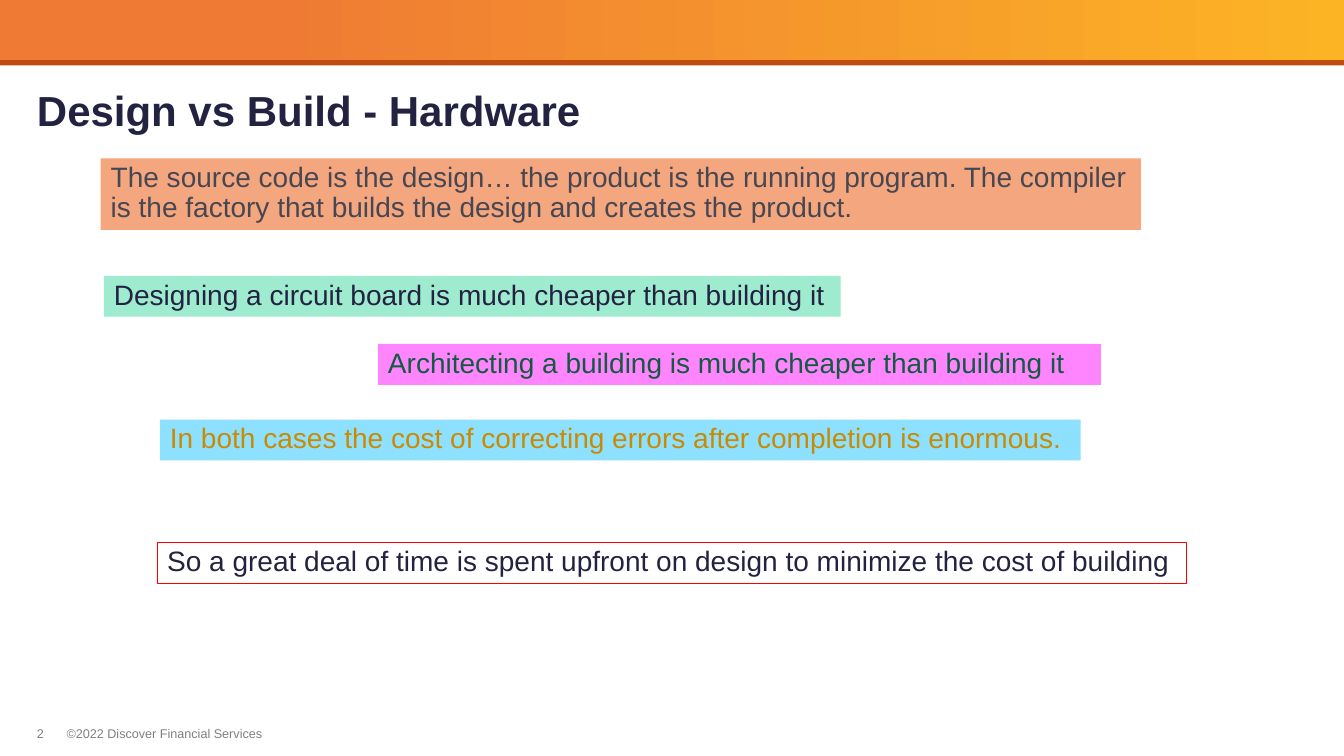
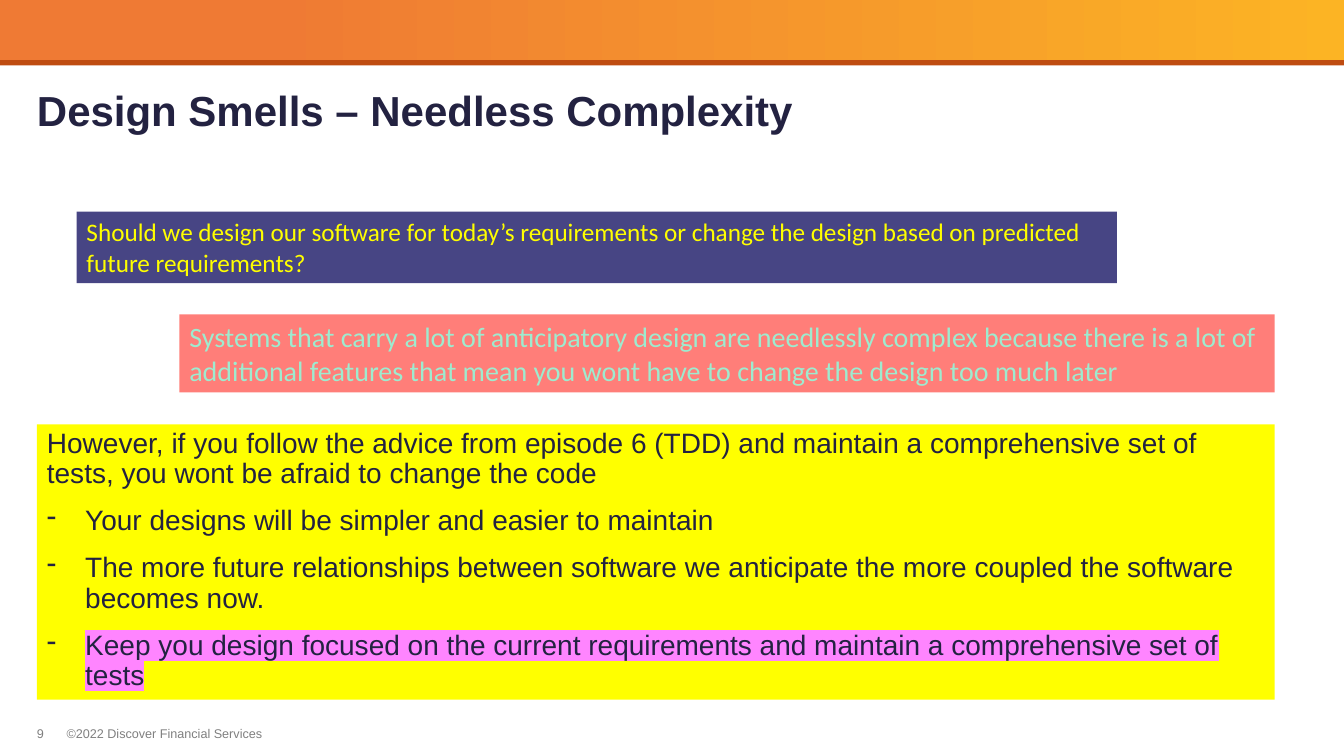
"""Build two lecture slides on software design."""
from lxml.etree import SubElement
from pptx import Presentation
from pptx.dml.color import RGBColor
from pptx.enum.shapes import MSO_SHAPE
from pptx.enum.text import MSO_ANCHOR, MSO_AUTO_SIZE, PP_ALIGN
from pptx.oxml.ns import qn
from pptx.util import Inches, Pt

WIDE, HIGH = Inches(13.33), Inches(7.5)
EDGE = 2.75
INDENT = Inches(0.38)
HUES = {
    "rust": "BF4C11", "gold": "FCB424", "orange": "EF7A34", "gray": "808080",
    "ink": "232241", "peach": "F4A67F", "slate": "474752", "mint": "9EEBCF",
    "pink": "FF85FF", "green": "135B40", "sky": "8DE1FF", "amber": "CB8A03",
    "red": "FF0000", "navy": "474584", "yellow": "FFFF00", "coral": "FF7E79",
}


def hue(name):
    return RGBColor.from_string(HUES[name])


def place(x, y, w, h):
    """Turn percent shares of the slide into lengths."""
    return [int(side * part / 100)
            for side, part in zip((WIDE, HIGH, WIDE, HIGH), (x, y, w, h))]


def style(para, color, size, face="Arial", bold=False, lead=None):
    para.alignment = PP_ALIGN.LEFT
    if lead:
        para.line_spacing = lead
    font = para.font
    font.name, font.size, font.bold = face, Pt(size), bold
    font.color.rgb = hue(color)


def block(slide, area, fill=None, line=None):
    shape = slide.shapes.add_shape(MSO_SHAPE.RECTANGLE, *place(*area))
    shape.shadow.inherit = False
    if fill:
        shape.fill.solid()
        shape.fill.fore_color.rgb = hue(fill)
    else:
        shape.fill.background()
    if line:
        shape.line.color.rgb = hue(line)
        shape.line.width = Pt(0.75)
    else:
        shape.line.fill.background()
    return shape


def note(slide, area, text, color="ink", fill=None, line=None,
         size=20, face="Arial", lead=0.9):
    frame = block(slide, area, fill, line).text_frame
    frame.word_wrap = True
    frame.vertical_anchor = MSO_ANCHOR.TOP
    para = frame.paragraphs[0]
    para.text = text
    style(para, color, size, face, lead=lead)
    return frame


def dash(frame, text, mark=None):
    """Add a dashed item, with an optional highlight."""
    para = frame.add_paragraph()
    run = para.add_run()
    run.text = text
    props = para._p.get_or_add_pPr()
    props.set("marL", str(INDENT))
    props.set("indent", str(-INDENT))
    SubElement(props, qn("a:buChar")).set("char", "-")
    para.space_before = Pt(12)
    style(para, "ink", 20, lead=0.9)
    if mark:
        glow = SubElement(run._r.get_or_add_rPr(), qn("a:highlight"))
        SubElement(glow, qn("a:srgbClr")).set("val", HUES[mark])


def small(slide, x, w, text):
    shape = slide.shapes.add_textbox(*place(x, 96, w, 2))
    frame = shape.text_frame
    frame.margin_left = frame.margin_right = 0
    frame.margin_top = frame.margin_bottom = 0
    frame.word_wrap = False
    frame.text = text
    style(frame.paragraphs[0], "gray", 9)
    return shape


def dress(slide, layout):
    """Put the band and the footer on the shared layout."""
    base = block(slide, (0, 0, 100, 8.67), "rust")
    band = block(slide, (0, 0, 100, 8))
    band.fill.gradient()
    band.fill.gradient_angle = 180
    for stop, name, spot in zip(band.fill.gradient_stops,
                                ("gold", "orange"), (0, 0.8)):
        stop.color.rgb = hue(name)
        stop.position = spot
    foot = small(slide, 4.95, 14.7, "©2022 Discover Financial Services")
    for shape in (base, band, foot):
        layout.shapes.element.append(shape.element)


def start(deck, title, page):
    slide = deck.slides.add_slide(deck.slide_layouts[5])
    head = slide.shapes.title
    head.left, head.top, head.width, head.height = place(EDGE, 8.67, 94.5, 11.33)
    frame = head.text_frame
    frame.text = title
    frame.word_wrap = True
    frame.auto_size = MSO_AUTO_SIZE.NONE
    frame.vertical_anchor = MSO_ANCHOR.MIDDLE
    frame.margin_left = frame.margin_right = frame.margin_bottom = 0
    frame.margin_top = Inches(0.1)
    style(frame.paragraphs[0], "ink", 30, bold=True, lead=0.85)
    small(slide, EDGE, 1.1, str(page))
    return slide


def main():
    deck = Presentation()
    deck.slide_width, deck.slide_height = WIDE, HIGH

    slide = start(deck, "Design vs Build - Hardware", 2)
    dress(slide, slide.slide_layout)
    note(slide, (7.5, 20.95, 77.4, 9.47),
         "The source code is the design… the product is the running program. "
         "The compiler is the factory that builds the design and creates the "
         "product.", "slate", "peach")
    note(slide, (7.73, 36.5, 54.83, 5.4),
         "Designing a circuit board is much cheaper than building it",
         fill="mint")
    note(slide, (28.13, 45.5, 53.78, 5.4),
         "Architecting a building is much cheaper than building it",
         "green", "pink")
    note(slide, (11.9, 55.5, 68.5, 5.4),
         "In both cases the cost of correcting errors after completion is "
         "enormous.", "amber", "sky")
    note(slide, (11.7, 71.75, 76.6, 5.4),
         "So a great deal of time is spent upfront on design to minimize the "
         "cost of building", line="red")

    slide = start(deck, "Design Smells – Needless Complexity", 9)
    note(slide, (5.7, 28, 77.4, 9.47),
         "Should we design our software for today’s requirements or change "
         "the design based on predicted future requirements?",
         "yellow", "navy", size=18, face="Calibri", lead=None)
    note(slide, (13.35, 41.6, 81.5, 10.3),
         "Systems that carry a lot of anticipatory design are needlessly "
         "complex because there is a lot of additional features that mean you "
         "wont have to change the design too much later",
         "mint", "coral", face="Calibri", lead=None)
    frame = note(slide, (EDGE, 56.15, 92.1, 36.4),
                 "However, if you follow the advice from episode 6 (TDD) and "
                 "maintain a comprehensive set of tests, you wont be afraid "
                 "to change the code", fill="yellow")
    dash(frame, "Your designs will be simpler and easier to maintain")
    dash(frame, "The more future relationships between software we anticipate "
         "the more coupled the software becomes now.")
    dash(frame, "Keep you design focused on the current requirements and "
         "maintain a comprehensive set of tests", "pink")

    deck.save("out.pptx")


if __name__ == "__main__":
    main()
